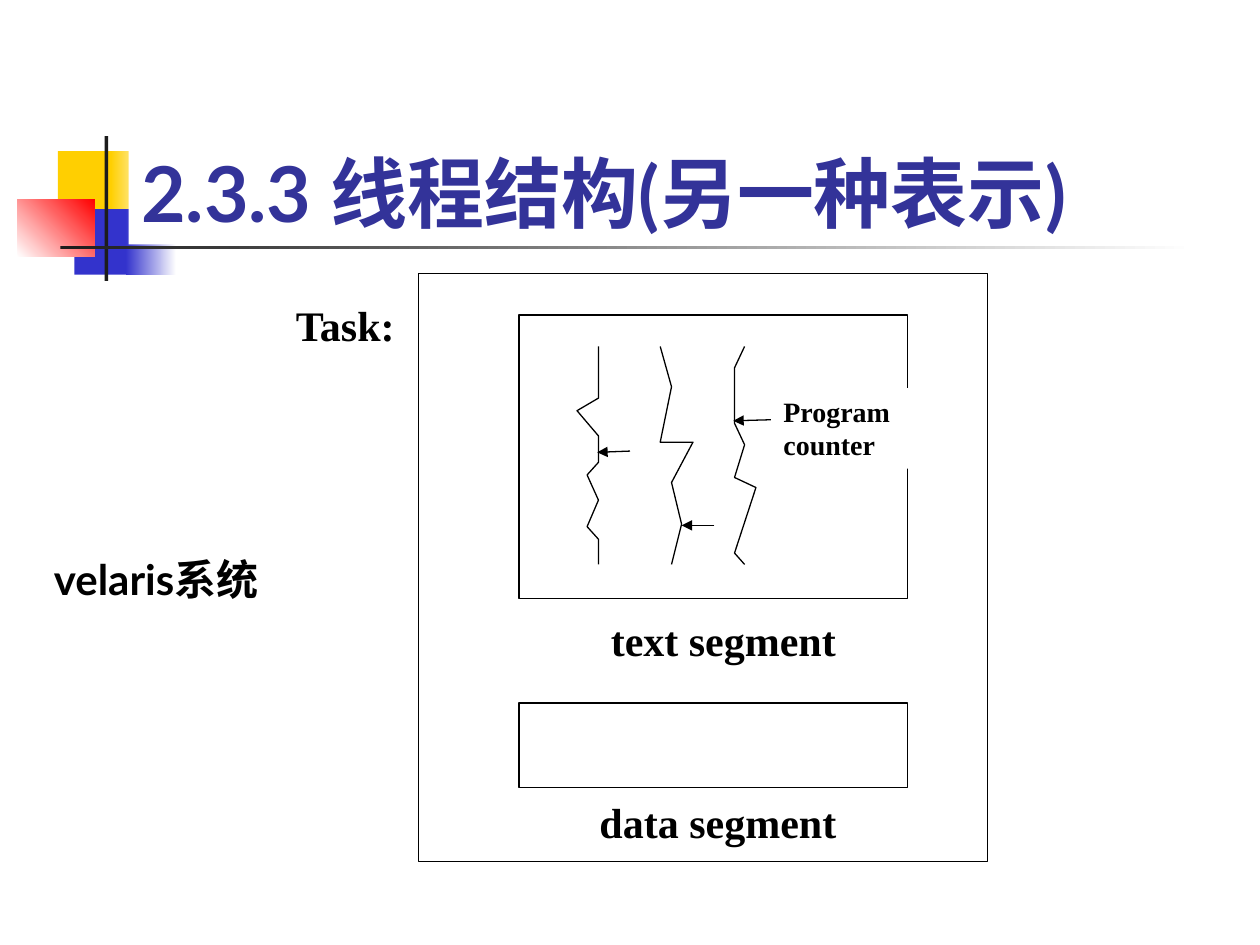
from lxml.etree import SubElement
from pptx import Presentation
from pptx.dml.color import RGBColor
from pptx.enum.shapes import MSO_CONNECTOR, MSO_SHAPE
from pptx.enum.text import MSO_ANCHOR, PP_ALIGN
from pptx.oxml.ns import qn
from pptx.util import Inches, Pt

WHITE, BLACK, YELLOW, BLUE, RED, DARK = (
    "FFFFFF", "000000", "FFCF01", "3333CC", "FF0000", "1C1C1C")
SERIF, SANS = "Times New Roman", "Lato"

TITLE = "2.3.3 线程结构(另一种表示)"
TITLE_AREA = (1.02, 0.69, 8.94, 1.25)

ORNAMENTS = [
    ((0.46, 1.2, 0.48, 0.52), (YELLOW,), 0),
    ((0.88, 1.2, 0.36, 0.52), (YELLOW, WHITE), 0),
    ((0.59, 1.66, 0.46, 0.52), (BLUE,), 0),
    ((1, 1.66, 0.4, 0.52), (BLUE, WHITE), 0),
    ((0.14, 1.58, 0.61, 0.46), (WHITE, RED), 45),
    ((0.83, 1.08, 0.03, 1.15), (DARK,), 0),
    ((0.48, 1.95, 9, 0.03), (DARK, WHITE), 0),
]
SEGMENT_FRAMES = [
    (3.32, 2.17, 4.52, 4.67),
    (4.12, 2.5, 3.08, 2.25),
    (4.12, 5.58, 3.08, 0.67),
]
THREADS = [
    [(4.75, 2.75), (4.75, 3.16), (4.58, 3.26), (4.75, 3.46), (4.75, 3.67),
     (4.66, 3.77), (4.75, 3.97), (4.66, 4.18), (4.75, 4.28), (4.75, 4.48)],
    [(5.24, 2.75), (5.33, 3.07), (5.24, 3.51), (5.5, 3.51), (5.33, 3.83),
     (5.41, 4.16), (5.33, 4.48)],
    [(5.91, 2.75), (5.83, 2.92), (5.83, 3.36), (5.91, 3.53), (5.83, 3.79),
     (6, 3.87), (5.83, 4.39), (5.91, 4.48)],
]
COUNTERS = [
    ((5, 3.58), (4.74, 3.59)),
    ((5.67, 4.17), (5.41, 4.17)),
    ((6.17, 3.33), (5.82, 3.34)),
]
LABELS = [
    ("text segment", (4.75, 4.83, 2, 0.5), 24, SERIF, WHITE),
    ("data segment", (4.66, 6.27, 2.17, 0.5), 24, SERIF, WHITE),
    ("Program counter", (6.12, 3.08, 1.13, 0.64), 16, SERIF, WHITE),
    ("Task:", (2.25, 2.33, 1, 0.9), 24, SERIF, WHITE),
    ("velaris系统", (0.33, 4.34, 2.04, 0.5), 24, SANS, None),
]


def rgb(value):
    return RGBColor.from_string(value)


def inches(values):
    return [Inches(value) for value in values]


def paint(shape, colours, angle=0, outline=None):
    shape.shadow.inherit = False
    if len(colours) == 1:
        shape.fill.solid()
        shape.fill.fore_color.rgb = rgb(colours[0])
    else:
        shape.fill.gradient()
        shape.fill.gradient_angle = angle
        for stop, colour in zip(shape.fill.gradient_stops, colours):
            stop.color.rgb = rgb(colour)
    if outline:
        shape.line.color.rgb = rgb(outline)
        shape.line.width = Pt(0.75)
    else:
        shape.line.fill.background()


def write(shape, text, size, typeface, colour, anchor):
    frame = shape.text_frame
    frame.text = text
    frame.word_wrap = True
    frame.vertical_anchor = anchor
    paragraph = frame.paragraphs[0]
    paragraph.alignment = PP_ALIGN.LEFT
    for run in paragraph.runs:
        run.font.name = typeface
        run.font.size = Pt(size)
        run.font.bold = True
        run.font.color.rgb = rgb(colour)


def add_rectangle(shapes, area, colours, angle=0, outline=None):
    rectangle = shapes.add_shape(MSO_SHAPE.RECTANGLE, *inches(area))
    paint(rectangle, colours, angle, outline)


def add_thread(shapes, points):
    start, *rest = [inches(point) for point in points]
    builder = shapes.build_freeform(*start)
    builder.add_line_segments(rest, close=False)
    paint(builder.convert_to_shape(), (WHITE,), outline=BLACK)


def add_counter(shapes, start, end):
    arrow = shapes.add_connector(MSO_CONNECTOR.STRAIGHT, *inches(start + end))
    arrow.line.color.rgb = rgb(BLACK)
    arrow.line.width = Pt(0.75)
    SubElement(arrow.line._get_or_add_ln(), qn("a:tailEnd"), type="triangle")
    SubElement(arrow._element.spPr, qn("a:effectLst"))


def add_label(shapes, text, area, size, typeface, background):
    label = shapes.add_textbox(*inches(area))
    if background:
        label.fill.solid()
        label.fill.fore_color.rgb = rgb(background)
    write(label, text, size, typeface, BLACK, MSO_ANCHOR.TOP)


def main():
    deck = Presentation()
    deck.slide_width, deck.slide_height = inches((10, 7.5))
    slide = deck.slides.add_slide(deck.slide_layouts[5])
    shapes = slide.shapes

    for area, colours, angle in ORNAMENTS:
        add_rectangle(shapes, area, colours, angle)

    title = shapes.title
    title.left, title.top, title.width, title.height = inches(TITLE_AREA)
    title.fill.solid()
    title.fill.fore_color.rgb = rgb(WHITE)
    write(title, TITLE, 44, SANS, "333399", MSO_ANCHOR.BOTTOM)
    shapes._spTree.append(title._element)

    for area in SEGMENT_FRAMES:
        add_rectangle(shapes, area, (WHITE,), outline=BLACK)
    for points in THREADS:
        add_thread(shapes, points)
    for start, end in COUNTERS:
        add_counter(shapes, start, end)
    for label in LABELS:
        add_label(shapes, *label)

    deck.save("out.pptx")


if __name__ == "__main__":
    main()
